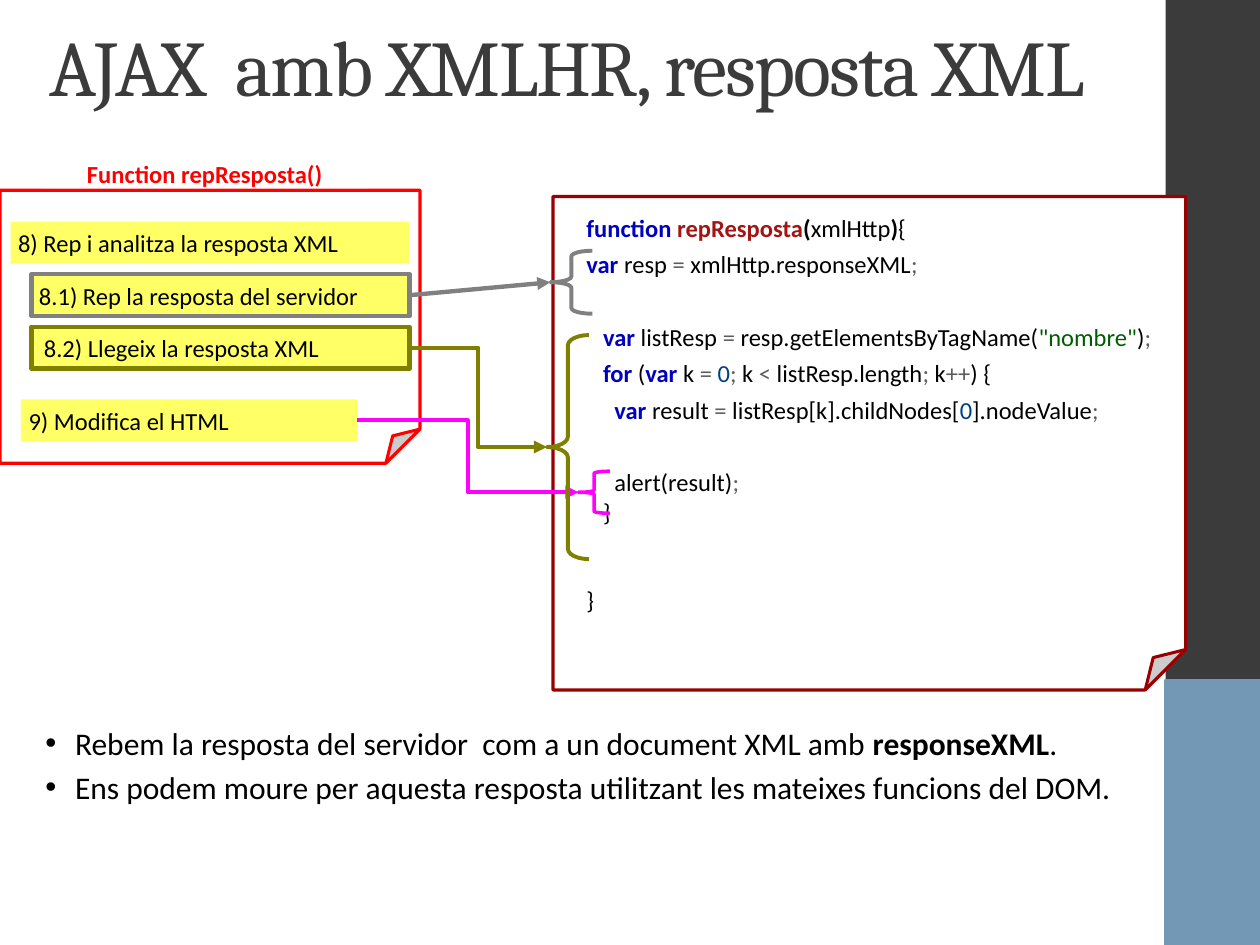
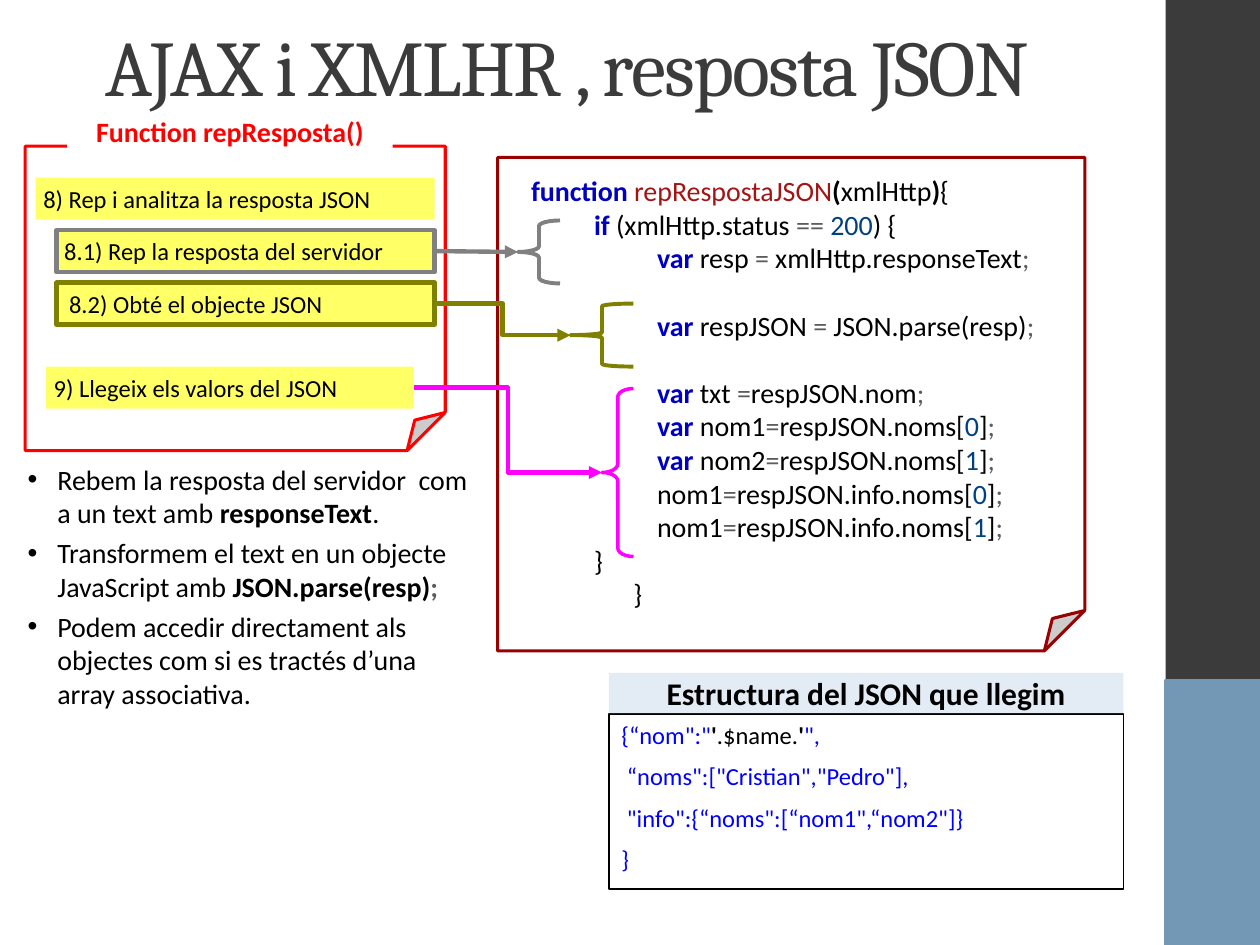
from itertools import groupby

from lxml import etree
from pptx import Presentation
from pptx import util as u
from pptx.dml import color
from pptx.enum import shapes, text
from pptx.oxml import ns

Pt = u.Pt
SHAPE = shapes.MSO_SHAPE
BLACK, WHITE, DARK, BAND_BLUE = "000000", "FFFFFF", "3B3B3B", "7398B6"
RED, DARK_RED, YELLOW, PALE_BLUE = "FF0000", "990000", "FFFF66", "E3EBF5"
GREY, OLIVE, MAGENTA, JSON_BLUE = "808080", "808000", "FF00FF", "0000FF"
KEYWORD, FUNCTION_NAME, OPERATOR = "0000C0", "A31515", "5C5C5C"
NUMBER, STRING = "004080", "005C00"
KEYWORDS = {"function", "var", "for", "if"}


def rgb(hex_code):
    return color.RGBColor.from_string(hex_code)


def style_run(run, size, hex_code=BLACK, bold=False, face="Calibri"):
    run.font.size, run.font.bold, run.font.name = Pt(size), bold, face
    run.font.color.rgb = rgb(hex_code)


def add_runs(paragraph, pieces, size):
    for content, hex_code, bold in pieces:
        run = paragraph.add_run()
        run.text = content
        style_run(run, size, hex_code, bold)


def set_indent(paragraph, left, first=0):
    properties = paragraph._p.get_or_add_pPr()
    properties.set("marL", str(Pt(left)))
    properties.set("indent", str(Pt(first)))


def set_frame(frame, side=7.2, edge=3.6, anchor=text.MSO_ANCHOR.TOP):
    frame.word_wrap = True
    frame.auto_size = text.MSO_AUTO_SIZE.NONE
    frame.margin_left = frame.margin_right = Pt(side)
    frame.margin_top = frame.margin_bottom = Pt(edge)
    frame.vertical_anchor = anchor


def fill_paragraphs(frame, rows, size, gap):
    for index, pieces in enumerate(rows):
        paragraph = frame.add_paragraph() if index else frame.paragraphs[0]
        paragraph.alignment = text.PP_ALIGN.LEFT
        paragraph.space_before = Pt(gap if index else 0)
        add_runs(paragraph, pieces, size)
        yield paragraph


def place(shape, box):
    shape.left, shape.top, shape.width, shape.height = map(Pt, box)


def add_block(slide, preset, box, fill=None, border=None, weight=1.75):
    block = slide.shapes.add_shape(preset, *map(Pt, box))
    block.shadow.inherit = False
    if fill:
        block.fill.solid()
        block.fill.fore_color.rgb = rgb(fill)
    else:
        block.fill.background()
    if border:
        block.line.color.rgb = rgb(border)
        block.line.width = Pt(weight)
    else:
        block.line.fill.background()
    return block


def add_page(slide, box, border, fold):
    page = add_block(slide, SHAPE.FOLDED_CORNER, box, WHITE, border)
    guides = page._element.spPr.find(ns.qn("a:prstGeom")).find(ns.qn("a:avLst"))
    etree.SubElement(guides, ns.qn("a:gd"), name="adj",
                     fmla=f"val {round(fold * 100000)}")


def add_label(slide, box, label, size=14, fill=YELLOW, border=None, side=4.3,
              hex_code=BLACK, bold=False, align=text.PP_ALIGN.LEFT):
    block = add_block(slide, SHAPE.RECTANGLE, box, fill, border, 2.5)
    set_frame(block.text_frame, side, 0, text.MSO_ANCHOR.MIDDLE)
    block.text_frame.text = label
    paragraph = block.text_frame.paragraphs[0]
    paragraph.alignment = align
    style_run(paragraph.runs[0], size, hex_code, bold)
    return block


def add_bands(slide, layout):
    for box, hex_code, border in (
        ((666, 0, 54, 540), DARK, None),
        ((666, 389, 54, 151), BAND_BLUE, BAND_BLUE),
    ):
        band = add_block(slide, SHAPE.RECTANGLE, box, hex_code, border, 2)
        layout.shapes.element.append(band.element)


def add_title(slide, heading):
    title = slide.shapes.title
    place(title, (6, 5, 636, 64))
    set_frame(title.text_frame, 7.9, 4.3, text.MSO_ANCHOR.MIDDLE)
    title.text_frame.text = heading
    paragraph = title.text_frame.paragraphs[0]
    paragraph.alignment = text.PP_ALIGN.CENTER
    run = paragraph.runs[0]
    style_run(run, 45, DARK, face="Cambria")
    run._r.get_or_add_rPr().set("spc", "-100")


def add_bullets(slide, box, rows, size):
    body = slide.placeholders[1]
    place(body, box)
    set_frame(body.text_frame, 1.4, 0.7)
    for paragraph in fill_paragraphs(body.text_frame, rows, size, 3.6):
        set_indent(paragraph, 17, -17)


def add_response_card(slide, left, top, height, heading_size, labels, last_step):
    add_page(slide, (left, top, 240, height), RED, 0.125)
    add_label(slide, (left + 24, top - 18, 186, heading_size * 1.2),
              "Function repResposta()", heading_size, WHITE, side=1.4,
              hex_code=RED, bold=True, align=text.PP_ALIGN.CENTER)
    last_top, last_width = last_step
    steps = (
        (6, 18, 228, None, 4.3),
        (18, 48, 216, GREY, 4.3),
        (18, 78, 216, OLIVE, 7.2),
        (12, last_top, last_width, None, 4.3),
    )
    return [
        add_label(slide, (left + dx, top + dy, width, 24), label,
                  border=border, side=side)
        for label, (dx, dy, width, border, side) in zip(labels, steps)
    ]


def char_kind(char):
    if char.isalnum():
        return "word"
    return "operator" if char in "=<+;" else char


def token_style(token, declares, bold_name):
    if token in KEYWORDS:
        return KEYWORD, True
    if token.startswith("repResposta"):
        return FUNCTION_NAME, bold_name
    if token.isdigit():
        return NUMBER, False
    if char_kind(token[0]) == "operator":
        return OPERATOR, False
    return BLACK, declares and token in "()"


def highlight(line, bold_name):
    styled = []
    for index, part in enumerate(line.split('"')):
        if index % 2:
            styled.append((f'"{part}"', (STRING, False)))
            continue
        for _, chars in groupby(part, char_kind):
            token = "".join(chars)
            styled.append((token, token_style(token, line.startswith("function"),
                                              bold_name)))
    for style, group in groupby(styled, lambda item: item[1]):
        yield ("".join(token for token, _ in group), *style)


def add_code(slide, left, top, width, lines, size, bold_name):
    add_page(slide, (left, top, width, 282), DARK_RED, 0.082)
    listing = slide.shapes.add_textbox(
        *map(Pt, (left + 12, top + 5.8, width - 22, 258)))
    set_frame(listing.text_frame)
    rows = [highlight(code, bold_name) for _, _, code in lines]
    paragraphs = fill_paragraphs(listing.text_frame, rows, size, 0)
    for paragraph, (indent, gap, _) in zip(paragraphs, lines):
        set_indent(paragraph, indent)
        paragraph.space_before = Pt(gap)


def link_step(slide, step, brace_box, curve, hex_code, weight=2.25, straight=False):
    brace = add_block(slide, SHAPE.LEFT_BRACE, brace_box, None, hex_code, weight)
    brace.adjustments[0] = curve
    kind = shapes.MSO_CONNECTOR.STRAIGHT if straight else shapes.MSO_CONNECTOR.ELBOW
    arrow = slide.shapes.add_connector(
        kind, step.left + step.width, step.top + step.height // 2,
        brace.left, brace.top + brace.height // 2)
    if straight:
        arrow.begin_connect(step, 3)
        arrow.end_connect(brace, 1)
    arrow.line.color.rgb = rgb(hex_code)
    arrow.line.width = Pt(2.5)
    properties = arrow._element.spPr
    etree.SubElement(properties.find(ns.qn("a:ln")), ns.qn("a:tailEnd"),
                     type="triangle")
    etree.SubElement(properties, ns.qn("a:effectLst"))


def link_steps(slide, steps, server, parse, final):
    link_step(slide, steps[3], *final, MAGENTA, 2)
    link_step(slide, steps[1], *server, GREY, straight=True)
    link_step(slide, steps[2], *parse, OLIVE)


def add_json_structure(slide, rows):
    left, top, width = 348, 408, 294
    structure = add_block(slide, SHAPE.RECTANGLE, (left, top, width, 100),
                          None, BLACK, 0.75)
    set_frame(structure.text_frame)
    list(fill_paragraphs(structure.text_frame, rows, 14, 6.8))
    add_label(slide, (left, top - 23.5, width, 23), "Estructura del JSON que llegim",
              18, PALE_BLUE, side=1.4, bold=True, align=text.PP_ALIGN.CENTER)


def build_xml_slide(slide):
    add_title(slide, "AJAX  amb XMLHR, resposta XML")
    steps = add_response_card(slide, 0, 108.7, 156, 14, (
        "8) Rep i analitza la resposta XML",
        "8.1) Rep la resposta del servidor",
        "8.2) Llegeix la resposta XML",
        "9) Modifica el HTML",
    ), (119.5, 192))
    add_code(slide, 316, 112.3, 361.5, (
        (0, 0, "function repResposta(xmlHttp){"),
        (0, 4, "var resp = xmlHttp.responseXML;"),
        (9.5, 24.7, 'var listResp = resp.getElementsByTagName("nombre");'),
        (9.5, 4, "for (var k = 0; k < listResp.length; k++) {"),
        (16, 4, "var result = listResp[k].childNodes[0].nodeValue;"),
        (16, 24.7, "alert(result);"),
        (9.5, 0, "}"),
        (0, 33.5, "}"),
    ), 14, True)
    link_steps(slide, steps,
               server=((314.5, 143.3, 24, 36), 0.135),
               parse=((312.5, 191.5, 24, 128), 0.245),
               final=((330.5, 269.3, 18, 24), 0.067))
    add_bullets(slide, (24.5, 413, 619, 50), (
        (("Rebem la resposta del servidor  com a un document XML amb ", BLACK, False),
         ("responseXML", BLACK, True), (".", BLACK, False)),
        (("Ens podem moure per aquesta resposta utilitzant les mateixes funcions"
          " del DOM.", BLACK, False),),
    ), 18)


def build_json_slide(slide):
    add_title(slide, "AJAX i XMLHR , resposta JSON")
    steps = add_response_card(slide, 14.4, 83.5, 174, 16, (
        "8) Rep i analitza la resposta JSON",
        "8.1) Rep la resposta del servidor",
        "8.2) Obté el objecte JSON",
        "9) Llegeix els valors del JSON",
    ), (126, 210))
    add_code(slide, 284.4, 90, 335.5, (
        (0, 0, "function repRespostaJSON(xmlHttp){"),
        (36, 0, "if (xmlHttp.status == 200) {"),
        (72, 0, "var resp = xmlHttp.responseText;"),
        (72, 19.2, "var respJSON = JSON.parse(resp);"),
        (72, 19.2, "var txt =respJSON.nom;"),
        (72, 0, "var nom1=respJSON.noms[0];"),
        (72, 0, "var nom2=respJSON.noms[1];"),
        (72, 0, "nom1=respJSON.info.noms[0];"),
        (72, 0, "nom1=respJSON.info.noms[1];"),
        (36, 0, "}"),
        (58.5, 0, "}"),
    ), 16, False)
    link_steps(slide, steps,
               server=((296, 126, 24, 36), 0.135),
               parse=((326, 173.5, 36, 36), 0.043),
               final=((344, 222, 18, 96), 0.27))
    add_bullets(slide, (14.4, 263.5, 258, 144), (
        (("Rebem la resposta del servidor  com a un text amb ", BLACK, False),
         ("responseText", BLACK, True), (".", BLACK, False)),
        (("Transformem el text en un objecte JavaScript amb ", BLACK, False),
         ("JSON.parse(resp)", BLACK, True), (";", OPERATOR, True)),
        (("Podem accedir directament als objectes com si es tractés d’una array"
          " associativa.", BLACK, False),),
    ), 16)
    add_json_structure(slide, (
        (('{“nom":"', JSON_BLUE, False), ("'", BLACK, True),
         (".$name.", BLACK, False), ("'", BLACK, True), ('",', JSON_BLUE, False)),
        ((' “noms":["Cristian","Pedro"],', JSON_BLUE, False),),
        ((' "info":{“noms":[“nom1",“nom2"]}', JSON_BLUE, False),),
        (("}", JSON_BLUE, False),),
    ))


def main():
    deck = Presentation()
    deck.slide_width, deck.slide_height = Pt(720), Pt(540)
    layout = deck.slide_layouts[1]
    xml_slide, json_slide = (deck.slides.add_slide(layout) for _ in range(2))
    add_bands(xml_slide, layout)
    build_xml_slide(xml_slide)
    build_json_slide(json_slide)
    deck.save("out.pptx")


if __name__ == "__main__":
    main()
